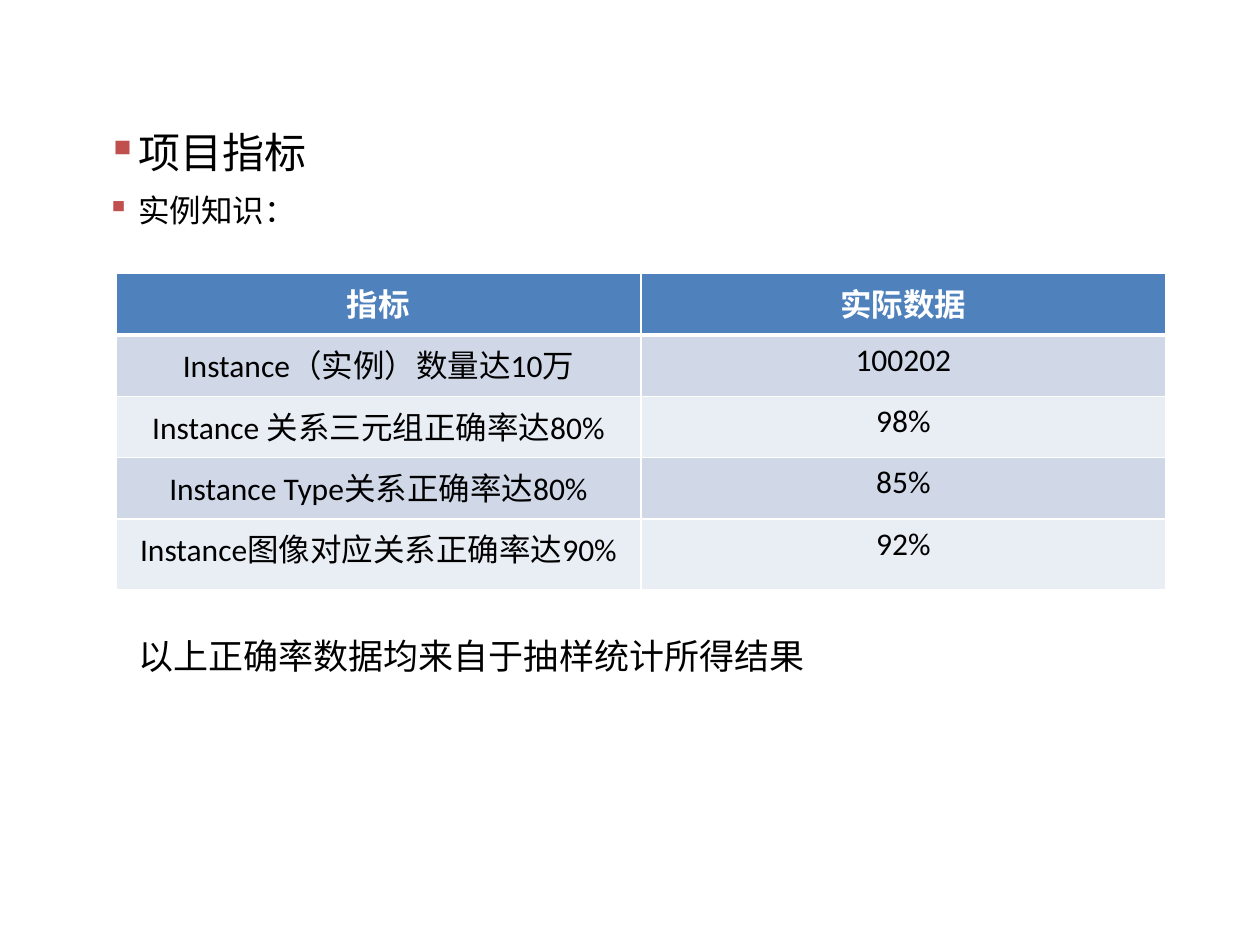
from dataclasses import dataclass

from lxml.etree import SubElement
from pptx import Presentation
from pptx.dml.color import RGBColor
from pptx.enum.text import PP_ALIGN
from pptx.oxml.ns import qn
from pptx.util import Pt

BLACK = RGBColor(0, 0, 0)
WHITE = RGBColor(0xFF, 0xFF, 0xFF)
RED = RGBColor(0xC0, 0x50, 0x4D)
BLUE = RGBColor(0x4F, 0x81, 0xBD)
BAND_DARK = RGBColor(0xD0, 0xD8, 0xE8)
BAND_LIGHT = RGBColor(0xE9, 0xED, 0xF4)
FONT = "Calibri"
INDENT = 18


@dataclass(frozen=True)
class Metric:
    name: str
    value: str
    height: float = 35.1


HEADER = Metric("指标", "实际数据")
METRICS = [
    Metric("Instance（实例）数量达10万", "100202"),
    Metric("Instance 关系三元组正确率达80%", "98%"),
    Metric("Instance Type关系正确率达80%", "85%"),
    Metric("Instance图像对应关系正确率达90%", "92%", 40.3),
]


def write(para, text: str, *, size: float = 18, color: RGBColor = BLACK,
          bold: bool = False, align: PP_ALIGN = PP_ALIGN.LEFT) -> None:
    para.alignment = align
    span = para.add_run()
    span.text = text
    span.font.name = FONT
    span.font.size = Pt(size)
    span.font.bold = bold
    span.font.color.rgb = color


def set_body_spacing(para, size: float, before: float) -> None:
    para.line_spacing = 0.9
    para.space_before = Pt(size * before)
    para.space_after = Pt(size * 0.15)


def set_indent(para, *, bullet: bool) -> None:
    properties = para._p.get_or_add_pPr()
    properties.set("marL", str(Pt(INDENT)))
    properties.set("indent", str(-Pt(INDENT) if bullet else 0))
    if bullet:
        color = SubElement(properties, qn("a:buClr"))
        SubElement(color, qn("a:srgbClr"), val=str(RED))
        SubElement(properties, qn("a:buChar"), char="▪")


def add_body(page, top: float, height: float, lines: list[tuple[str, float]],
             *, bullet: bool, before: float) -> None:
    box = page.shapes.add_textbox(Pt(54), Pt(top), Pt(612), Pt(height))
    frame = box.text_frame
    frame.word_wrap = True
    for index, (text, size) in enumerate(lines):
        para = frame.add_paragraph() if index else frame.paragraphs[0]
        set_body_spacing(para, size, before)
        set_indent(para, bullet=bullet)
        write(para, text, size=size)


def set_borders(cell, bottom: float, top: float) -> None:
    properties = cell._tc.get_or_add_tcPr()
    widths = {"a:lnL": 1, "a:lnR": 1, "a:lnT": top, "a:lnB": bottom}
    for position, (tag, width) in enumerate(widths.items()):
        line = SubElement(properties, qn(tag), w=str(Pt(width)))
        fill = SubElement(line, qn("a:solidFill"))
        SubElement(fill, qn("a:srgbClr"), val=str(WHITE))
        properties.insert(position, line)


def add_metric_table(page) -> None:
    rows = [HEADER, *METRICS]
    total = sum(row.height for row in rows)
    table = page.shapes.add_table(
        len(rows), 2, Pt(66.25), Pt(156.25), Pt(600), Pt(total)).table
    for column in table.columns:
        column.width = Pt(300)
    for index, metric in enumerate(rows):
        table.rows[index].height = Pt(metric.height)
        header = index == 0
        band = BAND_DARK if index % 2 else BAND_LIGHT
        for column, text in enumerate((metric.name, metric.value)):
            cell = table.cell(index, column)
            cell.fill.solid()
            cell.fill.fore_color.rgb = BLUE if header else band
            set_borders(cell, bottom=3 if header else 1, top=3 if index == 1 else 1)
            write(cell.text_frame.paragraphs[0], text, bold=header,
                  color=WHITE if header else BLACK, align=PP_ALIGN.CENTER)


deck = Presentation()
deck.slide_width, deck.slide_height = Pt(720), Pt(540)
page = deck.slides.add_slide(deck.slide_layouts[6])
add_body(page, 72, 66, [("项目指标", 24), ("实例知识：", 18)],
         bullet=True, before=0.35)
add_metric_table(page)
add_body(page, 362, 36, [("以上正确率数据均来自于抽样统计所得结果", 20)],
         bullet=False, before=0.25)
deck.save("out.pptx")
